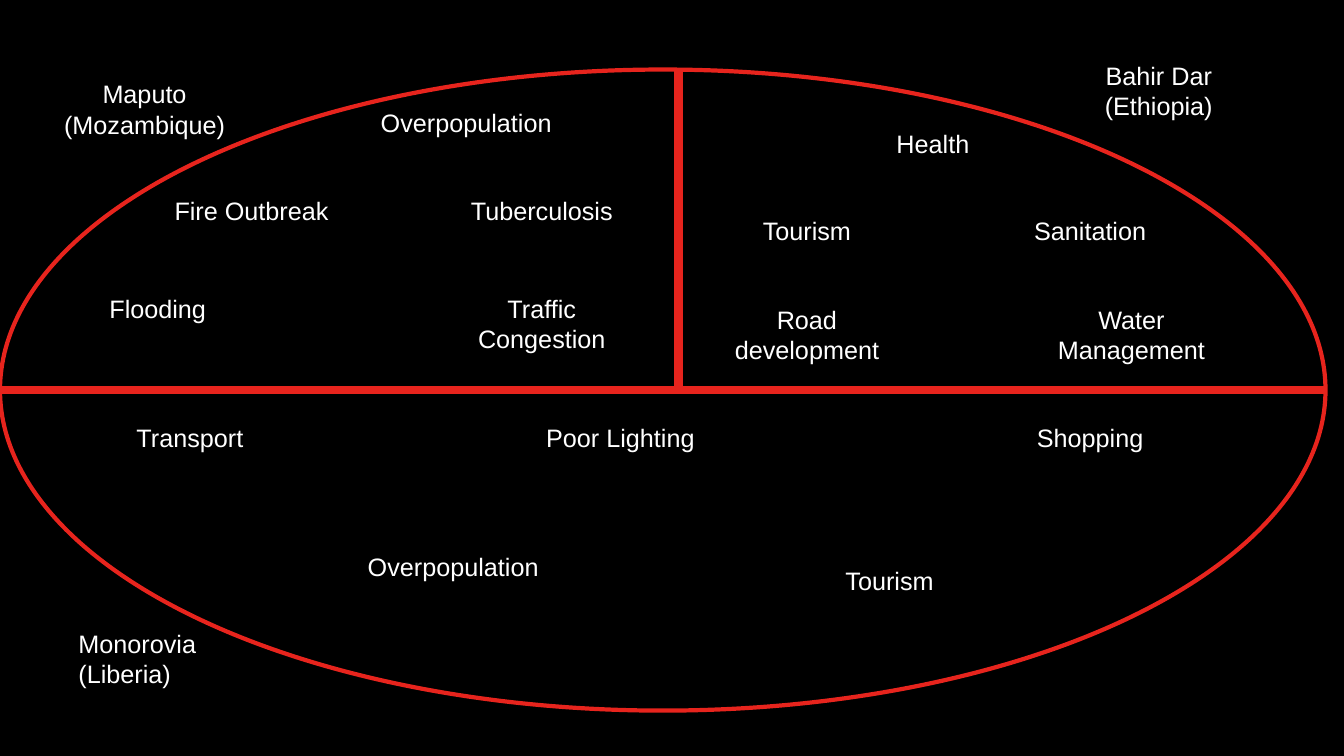
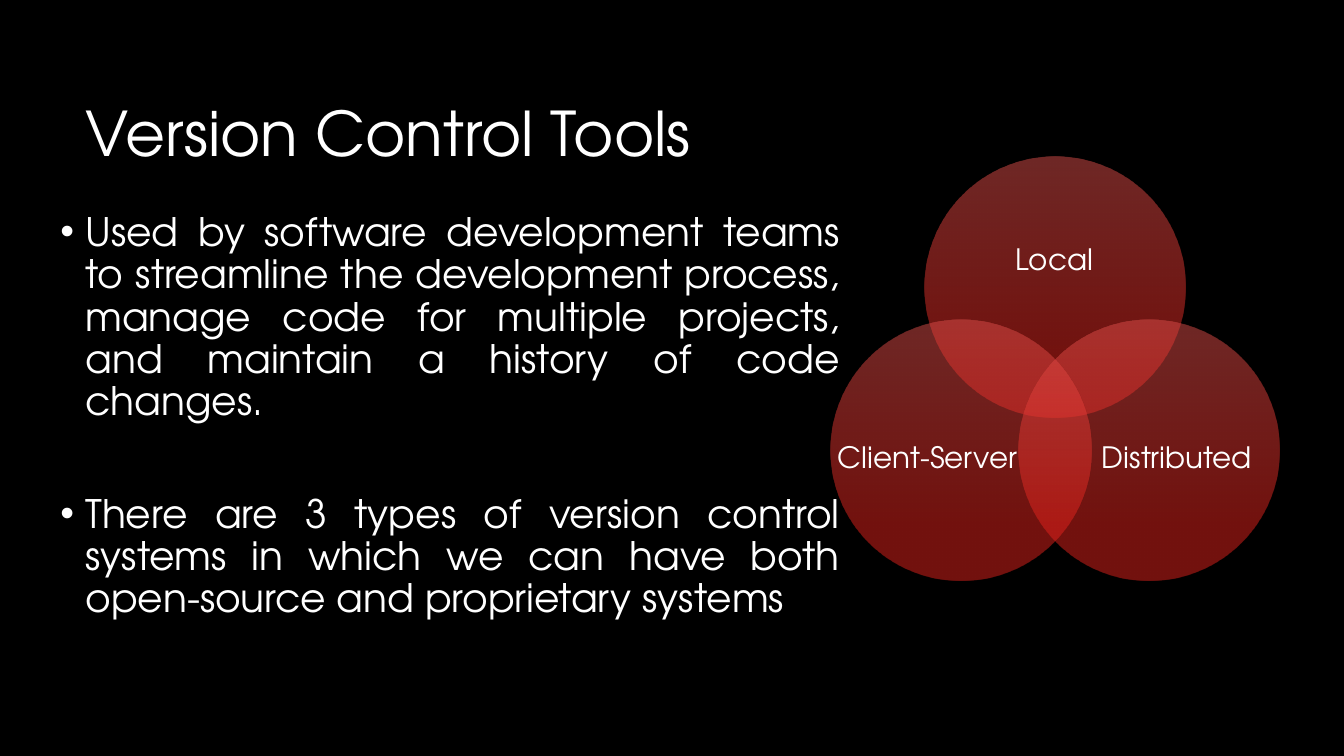
import math
from lxml import etree
from pptx import Presentation
from pptx.dml.color import RGBColor
from pptx.enum.shapes import MSO_CONNECTOR, MSO_SHAPE
from pptx.enum.text import MSO_ANCHOR, MSO_AUTO_SIZE, PP_ALIGN
from pptx.oxml.ns import qn
from pptx.util import Pt

LEFT, CENTER, JUSTIFY = PP_ALIGN.LEFT, PP_ALIGN.CENTER, PP_ALIGN.JUSTIFY
TOP, MIDDLE = MSO_ANCHOR.TOP, MSO_ANCHOR.MIDDLE
NO_FIT = MSO_AUTO_SIZE.NONE
OVAL, STRAIGHT = MSO_SHAPE.OVAL, MSO_CONNECTOR.STRAIGHT

COLORS = {"back": "000000", "text": "FFFFFF", "red": "E7241D", "rose": "E0514D"}
C = {name: RGBColor.from_string(value) for name, value in COLORS.items()}
PLAIN, DISPLAY = "Arial", "TeX Gyre Adventor"


def set_text(sp, paragraphs, font, size, align, anchor, insets, spacing=1.0):
    tf = sp.text_frame
    tf.text = "\n".join(paragraphs)
    tf.word_wrap, tf.auto_size, tf.vertical_anchor = True, NO_FIT, anchor
    tf.margin_left = tf.margin_right = Pt(insets[0])
    tf.margin_top = tf.margin_bottom = Pt(insets[1])
    for p in tf.paragraphs:
        p.alignment, p.line_spacing = align, spacing
        for r in p.runs:
            r.font.name, r.font.size = font, Pt(size)
            r.font.color.rgb = C["text"]
    return tf


def add_text(s, x, y, w, h, *args):
    sp = s.shapes.add_textbox(Pt(x), Pt(y), Pt(w), Pt(h))
    return set_text(sp, *args)


prs = Presentation()
prs.slide_width, prs.slide_height = Pt(960), Pt(540)
fill = prs.slide_master.background.fill
fill.solid()
fill.fore_color.rgb = C["back"]

# Slide 1: city problems in a divided ellipse
s = prs.slides.add_slide(prs.slide_layouts[6])
top, width, height = 49.7, 946.8, 457.9
middle, divider = top + height / 2, 484.6
sp = s.shapes.add_shape(OVAL, Pt(0), Pt(top), Pt(width), Pt(height))
sp.shadow.inherit = False
sp.fill.background()
sp.line.color.rgb, sp.line.width = C["red"], Pt(3)

for ends in [(0, middle, width, middle), (divider, top, divider, middle)]:
    line = s.shapes.add_connector(STRAIGHT, *map(Pt, ends))
    line.line.color.rgb, line.line.width = C["red"], Pt(6)
    etree.SubElement(line._element.spPr, qn("a:effectLst"))

labels = [
    # Cities
    (26.6, 49, "Maputo (Mozambique)", CENTER),
    (49, 441.4, "Monorovia (Liberia)", LEFT),
    (751, 36, "Bahir Dar (Ethiopia)", CENTER),
    # Upper left
    (256.3, 69.8, "Overpopulation", CENTER),
    (103, 132.5, "Fire Outbreak", CENTER),
    (310.3, 132.5, "Tuberculosis", CENTER),
    (36, 202.3, "Flooding", CENTER),
    (310.3, 202.3, "Traffic Congestion", CENTER),
    # Upper right
    (589.7, 84.2, "Health", CENTER),
    (499.7, 146.9, "Tourism", CENTER),
    (702, 146.9, "Sanitation", CENTER),
    (499.7, 210.2, "Road development", CENTER),
    (731.5, 210.2, "Water Management", CENTER),
    # Lower half
    (59, 294.5, "Transport", CENTER),
    (366.5, 294.5, "Poor Lighting", CENTER),
    (702, 294.5, "Shopping", CENTER),
    (247, 386.6, "Overpopulation", CENTER),
    (558.7, 396.7, "Tourism", CENTER),
]
for x, y, text, align in labels:
    add_text(s, x, y, 153.4, 55.4, [text], PLAIN, 18, align, TOP, (7.2, 7.2))

# Slide 2: title
s = prs.slides.add_slide(prs.slide_layouts[5])
title = s.shapes.title
title.left, title.top, title.width, title.height = Pt(54), Pt(46.8), Pt(851.8), Pt(101.5)
set_text(title, ["Version Control Tools"], DISPLAY, 44, LEFT, MIDDLE, (7.2, 3.6), 0.9)

# Bulleted text
points = [
    "Used by software development teams to streamline the development process, "
    "manage code for multiple projects, and maintain a history of code changes.",
    "There are 3 types of version control systems in which we can have both "
    "open-source and proprietary systems",
]
tf = add_text(s, 36, 148.3, 571, 311, points, DISPLAY, 28, JUSTIFY, TOP, (7.2, 3.6), 0.9)
tf.paragraphs[1].space_before = Pt(50)
for p in tf.paragraphs:
    pPr = p._p.get_or_add_pPr()
    pPr.set("marL", str(Pt(18)))
    pPr.set("indent", str(-Pt(18)))
    etree.SubElement(pPr, qn("a:buFont"), typeface=PLAIN)
    etree.SubElement(pPr, qn("a:buChar"), char="•")

# Venn diagram: three circles evenly spaced around a centre
center_x, center_y, orbit, diameter = 753.5, 282.5, 77.7, 186.5
circles = [
    (-90, "Local", (684.7, 144, 136.8, 84.2)),
    (30, "Distributed", (784.8, 276.5, 111.6, 103)),
    (150, "Client-Server", (597.6, 276.5, 129.6, 103)),
]
for degrees, text, box in circles:
    angle = math.radians(degrees)
    x = center_x + orbit * math.cos(angle) - diameter / 2
    y = center_y + orbit * math.sin(angle) - diameter / 2
    sp = s.shapes.add_shape(OVAL, Pt(x), Pt(y), Pt(diameter), Pt(diameter))
    sp.shadow.inherit = False
    sp.line.fill.background()
    sp.fill.gradient()
    sp.fill.gradient_angle = 270
    for stop, color, position in zip(sp.fill.gradient_stops, ("rose", "red"), (0, 0.78)):
        stop.color.rgb, stop.position = C[color], position
    for clr in sp._element.spPr.iter(qn("a:srgbClr")):
        etree.SubElement(clr, qn("a:alpha"), val="50000")
    add_text(s, *box, [text], DISPLAY, 21, CENTER, MIDDLE, (0, 0), 0.9)

prs.save("out.pptx")
